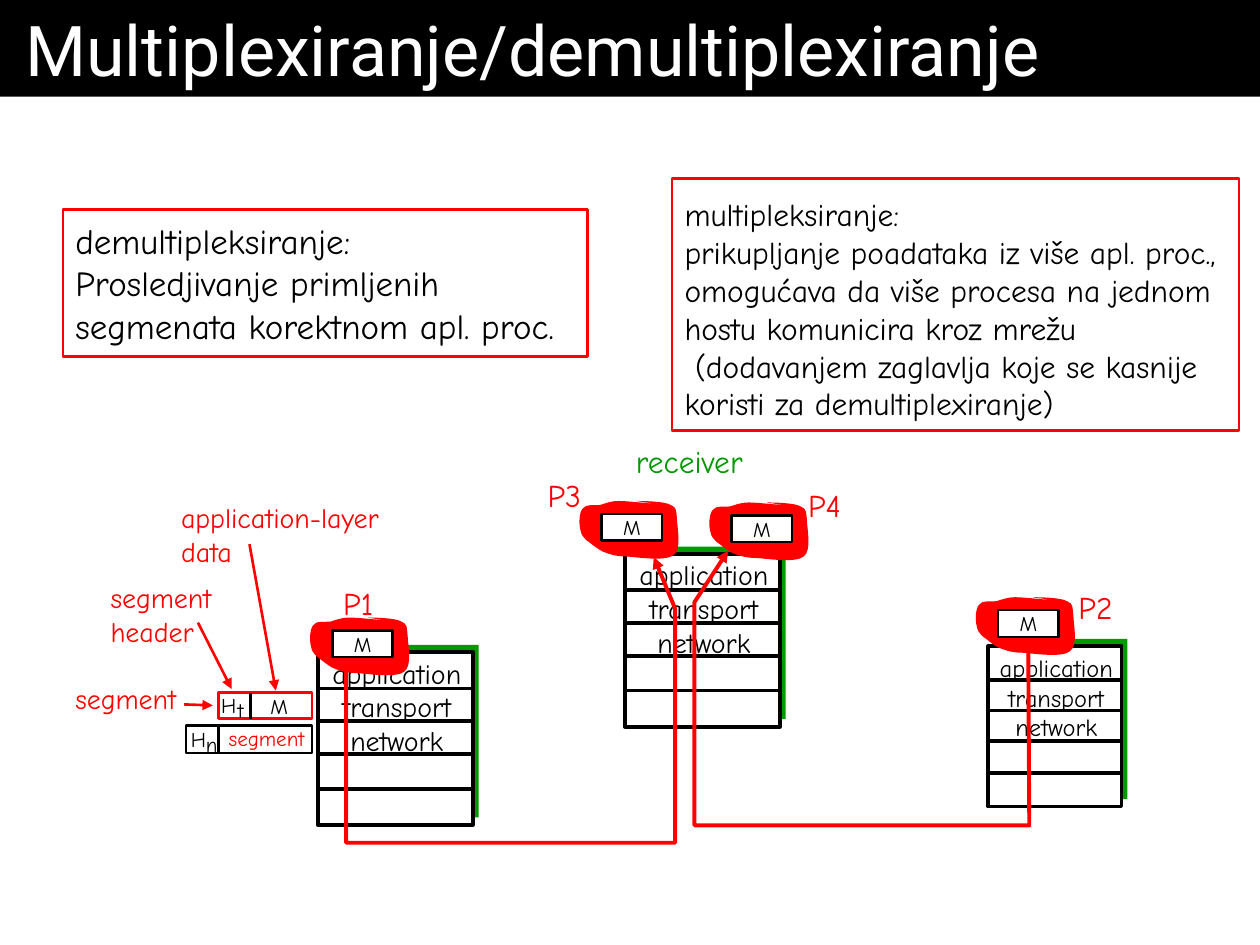
from lxml import etree
from pptx import Presentation
from pptx.dml.color import RGBColor
from pptx.enum.shapes import MSO_CONNECTOR, MSO_SHAPE
from pptx.enum.text import MSO_ANCHOR, MSO_AUTO_SIZE, PP_ALIGN
from pptx.oxml.ns import qn
from pptx.util import Cm, Pt

RECT = MSO_SHAPE.RECTANGLE
STRAIGHT = MSO_CONNECTOR.STRAIGHT
LEFT, CENTER = PP_ALIGN.LEFT, PP_ALIGN.CENTER
TOP, MIDDLE = MSO_ANCHOR.TOP, MSO_ANCHOR.MIDDLE
FIT, FIXED = MSO_AUTO_SIZE.SHAPE_TO_FIT_TEXT, MSO_AUTO_SIZE.NONE

BLACK, WHITE, RED, GREEN = "000000", "FFFFFF", "FF0000", "009900"
BODY_FONT, TITLE_FONT = "Comic Neue", "Roboto"
ROW_LINES = (0.21, 0.4, 0.59, 0.79)
BLOB = (
    (0.81, 0),
    (0.64, 0), (0.53, 0.05), (0.43, 0.08),
    (0.3, 0.1), (0.15, 0.05), (0.08, 0.15),
    (0, 0.23), (0, 0.48), (0.03, 0.58),
    (0.05, 0.69), (0.08, 0.71), (0.15, 0.79),
    (0.23, 0.84), (0.33, 0.94), (0.48, 1.02),
    (0.61, 1.07), (0.74, 1.12), (0.97, 1.12),
    (1.22, 1.14), (1.75, 1.22), (1.91, 1.09),
    (2.08, 0.97), (1.98, 0.53), (1.98, 0.38),
    (1.96, 0.2), (1.98, 0.13), (1.85, 0.08),
    (1.73, 0), (1.22, 0), (1.17, 0),
    (1.12, 0), (1.55, 0.05), (1.47, 0.05),
    (1.42, 0.05), (0.97, 0), (0.81, 0),
)


def rgb(value):
    """Turn a hex string into a colour."""
    return RGBColor.from_string(value)


def write(s, *lines, size=16, color=BLACK, font=BODY_FONT, align=LEFT,
          anchor=TOP, wrap=False, fit=FIXED, inset=0.25):
    """Put one paragraph per line into a shape."""
    tf = s.text_frame
    tf.word_wrap, tf.auto_size, tf.vertical_anchor = wrap, fit, anchor
    tf.margin_left = tf.margin_right = Cm(inset)
    tf.margin_top = tf.margin_bottom = Cm(0.13)
    for i, line in enumerate(lines):
        p = tf.paragraphs[0] if i == 0 else tf.add_paragraph()
        p.alignment = align
        r = p.add_run()
        r.text = line
        r.font.size, r.font.name = Pt(size), font
        r.font.color.rgb = rgb(color)


def label(slide, x, y, w, h, *lines, fit=FIT, **fmt):
    """Add a text box."""
    s = slide.shapes.add_textbox(Cm(x), Cm(y), Cm(w), Cm(h))
    write(s, *lines, fit=fit, **fmt)


def paint(s, fill=None, line=None, width=1.5):
    """Set the fill and outline of a shape."""
    s.shadow.inherit = False
    if fill:
        s.fill.solid()
        s.fill.fore_color.rgb = rgb(fill)
    else:
        s.fill.background()
    if line:
        s.line.color.rgb = rgb(line)
        s.line.width = Pt(width)
    else:
        s.line.fill.background()


def rect(slide, x, y, w, h, fill=None, line=None, width=1.5):
    """Add a rectangle."""
    s = slide.shapes.add_shape(RECT, Cm(x), Cm(y), Cm(w), Cm(h))
    paint(s, fill, line, width)
    return s


def arrowhead(s):
    """Give the end of a line a triangle."""
    etree.SubElement(s.line._get_or_add_ln(), qn("a:tailEnd"), type="triangle")


def straight(slide, x1, y1, x2, y2, color=BLACK, width=1.5, arrow=False):
    """Add a straight line, with an arrowhead if wanted."""
    s = slide.shapes.add_connector(STRAIGHT, Cm(x1), Cm(y1), Cm(x2), Cm(y2))
    s.line.color.rgb = rgb(color)
    s.line.width = Pt(width)
    if arrow:
        arrowhead(s)
    etree.SubElement(s._element.spPr, qn("a:effectLst"))


def outline(slide, points, close):
    """Build a freeform through the points."""
    first, *rest = [(Cm(x), Cm(y)) for x, y in points]
    builder = slide.shapes.build_freeform(*first)
    builder.add_line_segments(rest, close=close)
    return builder.convert_to_shape()


def bend(s):
    """Join each three line segments of a freeform into one Bezier curve."""
    segs = list(s._element.iter(qn("a:lnTo")))
    for i in range(0, len(segs) - 2, 3):
        curve = etree.Element(qn("a:cubicBezTo"))
        segs[i].addprevious(curve)
        for seg in segs[i:i + 3]:
            curve.append(seg[0])
            seg.getparent().remove(seg)


def route(slide, *points):
    """Draw a red path that ends in an arrowhead."""
    s = outline(slide, points, close=False)
    paint(s, line=RED, width=2.25)
    arrowhead(s)


def process(slide, x, y, name, dx, dy):
    """Draw a process blob with its message and name."""
    s = outline(slide, [(x + px, y + py) for px, py in BLOB], close=True)
    bend(s)
    paint(s, RED)
    s = rect(slide, x + 0.46, y + 0.26, 1.22, 0.54, WHITE, BLACK)
    write(s, "M", size=12, align=CENTER, anchor=MIDDLE)
    label(slide, x + dx, y + dy, 1.22, 1.02, name, size=18, color=RED)


def stack(slide, x, y, w, h, size, drop=-0.05):
    """Draw a protocol stack of five layers."""
    rect(slide, x + 0.12, y - 0.15, w, h, GREEN)
    rect(slide, x, y, w, h, WHITE, BLACK, 2.25)
    for part in ROW_LINES:
        straight(slide, x, y + part * h, x + w, y + part * h, width=2.25)
    label(slide, x - 0.04, y + drop, w + 0.14, 0.85 * h, "application",
          "transport", "network", size=size, align=CENTER)


def segments(slide, x, y):
    """Draw the segment and the packet that carries it."""
    rect(slide, x + 0.66, y, 1.88, 0.53, WHITE, RED)
    rect(slide, x + 0.66, y + 0.66, 1.88, 0.56, WHITE, BLACK)
    rect(slide, x, y + 0.66, 0.66, 0.56, WHITE, BLACK)
    straight(slide, x + 1.3, y, x + 1.3, y + 0.53)
    for dx, dy, text in ((0.46, -0.13, "H"), (0.79, -0.03, "t"),
                         (-0.15, 0.56, "H"), (0.15, 0.66, "n")):
        label(slide, x + dx, y + dy, 0.64, 0.76, text, size=12)
    label(slide, x + 0.61, y + 0.53, 2.03, 0.76, "segment", size=12, color=RED)
    label(slide, x + 1.27, y, 1.22, 0.56, "M", size=12, align=CENTER,
          anchor=MIDDLE, fit=FIXED)


def notes(slide, x, y):
    """Name the parts of the segment and point at them."""
    label(slide, x, y + 3.65, 2.54, 0.94, "segment", color=RED)
    label(slide, x + 0.71, y + 1.62, 2.54, 1.63, "segment", "header", color=RED)
    label(slide, x + 2.13, y, 5.28, 1.63, "application-layer", "data",
          color=RED, wrap=True)
    for x1, y1, x2, y2 in ((2.44, 4.24, 3.02, 4.26), (2.72, 2.59, 3.4, 3.93),
                           (3.76, 1.01, 4.29, 3.96)):
        straight(slide, x + x1, y + y1, x + x2, y + y2, RED, arrow=True)


def definitions(slide, x, y):
    """Place the two boxed definitions."""
    s = rect(slide, x, y + 0.62, 10.57, 2.97, line=RED)
    write(s, "demultipleksiranje:", "Prosledjivanje primljenih",
          "segmenata korektnom apl. proc.", size=20, anchor=MIDDLE)
    rect(slide, x + 12.28, y, 11.43, 5.08, line=RED)
    label(slide, x + 12.28, y + 0.21, 11.43, 4.83, "multipleksiranje:",
          "prikupljanje poadataka iz više apl. proc., omogućava da više "
          "procesa na jednom hostu komunicira kroz mrežu",
          " (dodavanjem zaglavlja koje se kasnije koristi za demultiplexiranje)",
          size=18, wrap=True)


def heading(slide, x, y, w, h):
    """Format the title bar."""
    s = slide.shapes.title
    s.left, s.top, s.width, s.height = Cm(x), Cm(y), Cm(w), Cm(h)
    s.fill.solid()
    s.fill.fore_color.rgb = rgb(BLACK)
    write(s, "Multiplexiranje/demultiplexiranje", size=40, color=WHITE,
          font=TITLE_FONT, wrap=True, inset=0.51)


def main():
    """Build the slide and save it."""
    prs = Presentation()
    prs.slide_width, prs.slide_height = Cm(25.4), Cm(19.05)
    slide = prs.slides.add_slide(prs.slide_layouts[5])
    heading(slide, 0, 0, 25.4, 1.95)
    definitions(slide, 1.27, 3.6)
    stack(slide, 19.92, 13.03, 2.69, 3.23, 14, drop=0.01)
    process(slide, 19.66, 12.04, "P2", 1.83, -0.32)
    stack(slide, 12.6, 11.17, 3.12, 3.48, 16)
    label(slide, 12.57, 8.79, 2.67, 1.02, "receiver", size=18, color=GREEN)
    segments(slide, 3.75, 13.96)
    stack(slide, 6.41, 13.15, 3.12, 3.48, 16)
    process(slide, 6.24, 12.45, "P1", 0.43, -0.8)
    route(slide, (6.98, 13.44), (6.98, 16.99), (13.61, 16.99),
          (13.61, 12.27), (13.18, 11.23))
    process(slide, 11.67, 10.1, "P3", -0.88, -0.63)
    route(slide, (20.73, 13.11), (20.75, 16.64), (14, 16.64),
          (14, 12.14), (14.68, 11.1))
    process(slide, 14.29, 10.13, "P4", 1.75, -0.47)
    notes(slide, 1.27, 9.96)
    prs.save("out.pptx")


if __name__ == "__main__":
    main()
